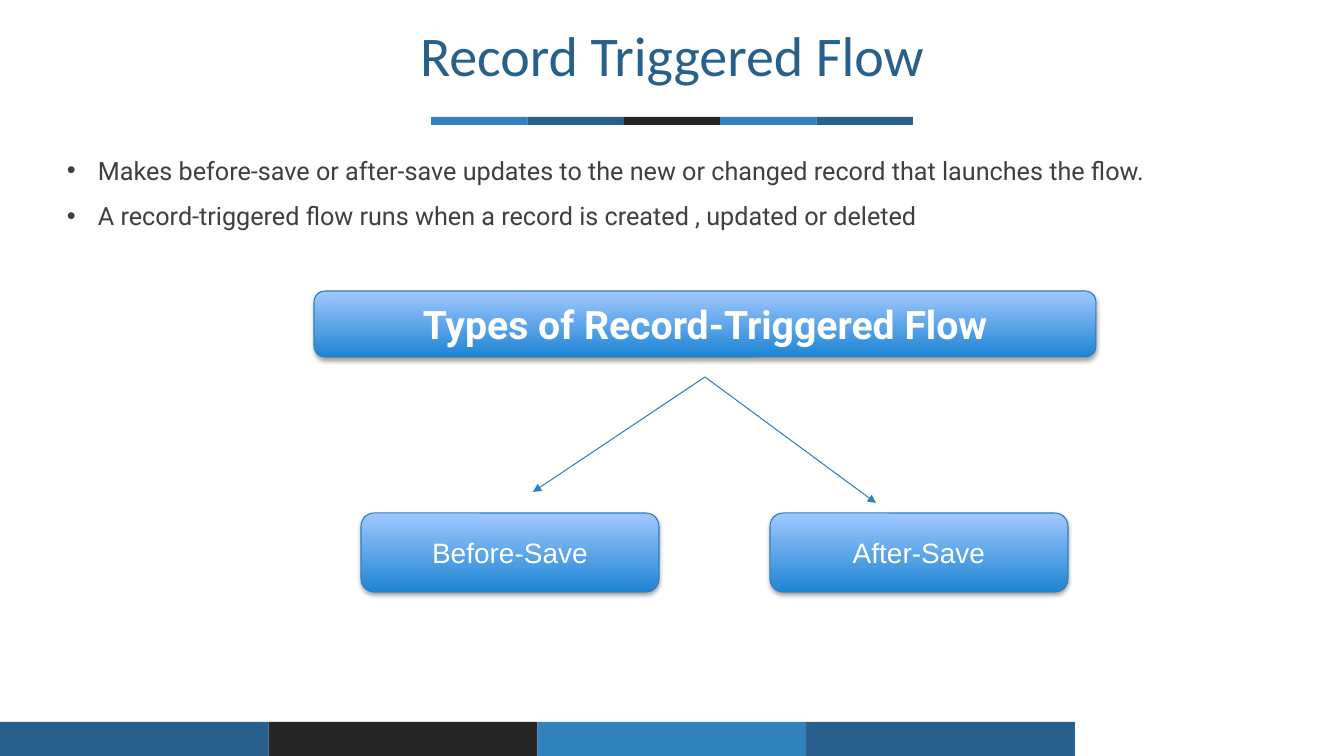
from pptx import Presentation
from pptx.dml.color import RGBColor
from pptx.enum.shapes import MSO_CONNECTOR, MSO_SHAPE
from pptx.enum.text import MSO_ANCHOR, PP_ALIGN
from pptx.oxml import parse_xml
from pptx.oxml.ns import nsdecls, qn
from pptx.util import Pt
from lxml.etree import SubElement

# Colours
BLUE = RGBColor(0x32, 0x82, 0xBE)
NAVY = RGBColor(0x28, 0x60, 0x8C)
BLACK = RGBColor(0x26, 0x26, 0x26)
WHITE = RGBColor(0xFF, 0xFF, 0xFF)
TEXT_GREY = RGBColor(0x3C, 0x40, 0x43)
BULLET_GREY = RGBColor(0x3F, 0x3F, 0x3F)
OUTLINE = RGBColor(0x2D, 0x80, 0xBD)
GRADIENT = (RGBColor(0x1D, 0x85, 0xD3), RGBColor(0xA1, 0xC8, 0xFF))

# Content, lengths in px
TITLE = "Record Triggered Flow"
TITLE_AREA = (41, 23, 1262, 70)
BULLETS = [
    "Makes before-save or after-save updates to the new or changed record that launches the flow.",
    "A record-triggered flow runs when a record is created , updated or deleted",
]
BULLET_AREA = (37, 135, 1270, 586)
BULLET_INDENT, BULLET_HANG = 51, 31
STRIPES = [  # area, colours from left to right
    ((431, 117, 482, 8), (BLUE, NAVY, BLACK, BLUE, NAVY)),
    ((0, 722, 1075, 34), (NAVY, BLACK, BLUE, NAVY)),
]
FLOW_BOXES = [  # text, area, font, size, bold
    ("Before-Save", (361, 513, 298, 79), "Arial", 20, False),
    ("After-Save", (770, 513, 298, 79), "Arial", 20, False),
    ("Types of Record-Triggered Flow", (314, 291, 782, 66), "Roboto", 28, True),
]
FORK = (705, 377)
ARROW_TIPS = [(533, 492), (876, 503)]

EMU_PER_PX = 914400 / 100.8


def px(*lengths):
    return [round(length * EMU_PER_PX) for length in lengths]


def add_span(para, text, font, size, color, bold=False):
    span = para.add_run()
    span.text = text
    span.font.name = font
    span.font.size = Pt(size)
    span.font.bold = bold
    span.font.color.rgb = color


def add_stripe(page, area, colors):
    left, top, width, height = area
    step = width / len(colors)
    for index, color in enumerate(colors):
        band = page.shapes.add_shape(
            MSO_SHAPE.RECTANGLE, *px(left + index * step, top, step, height))
        band.shadow.inherit = False
        band.fill.solid()
        band.fill.fore_color.rgb = color
        band.line.fill.background()


def add_bullet(para):
    indent, hang = px(BULLET_INDENT, BULLET_HANG)
    settings = para._p.get_or_add_pPr()
    settings.set("marL", str(indent))
    settings.set("indent", str(-hang))
    color = SubElement(settings, qn("a:buClr"))
    SubElement(color, qn("a:srgbClr"), val=str(BULLET_GREY))
    SubElement(settings, qn("a:buFont"), typeface="Arial")
    SubElement(settings, qn("a:buChar"), char="•")


def add_flow_box(page, text, area, font, size, bold):
    box = page.shapes.add_shape(MSO_SHAPE.ROUNDED_RECTANGLE, *px(*area))
    box.fill.gradient()
    box.fill.gradient_angle = 90
    for stop, color in zip(box.fill.gradient_stops, GRADIENT):
        stop.color.rgb = color
    box.line.color.rgb = OUTLINE
    box.line.width = Pt(0.75)
    box.shadow.inherit = False
    effects = box._element.spPr.find(qn("a:effectLst"))
    effects.append(parse_xml(
        f'<a:outerShdw {nsdecls("a")} blurRad="{Pt(3.1)}" dist="{Pt(1.8)}" dir="5400000" '
        'rotWithShape="0"><a:srgbClr val="000000"><a:alpha val="35000"/></a:srgbClr>'
        '</a:outerShdw>'))
    frame = box.text_frame
    frame.vertical_anchor = MSO_ANCHOR.MIDDLE
    para = frame.paragraphs[0]
    para.alignment = PP_ALIGN.CENTER
    add_span(para, text, font, size, WHITE, bold)


def add_arrow(page, start, tip):
    arrow = page.shapes.add_connector(MSO_CONNECTOR.STRAIGHT, *px(*start, *tip))
    arrow.line.color.rgb = OUTLINE
    arrow.line.width = Pt(0.75)
    SubElement(arrow.line._get_or_add_ln(), qn("a:tailEnd"), type="triangle")
    SubElement(arrow._element.spPr, qn("a:effectLst"))


def main():
    deck = Presentation()
    deck.slide_width, deck.slide_height = px(1344, 756)
    page = deck.slides.add_slide(deck.slide_layouts[5])

    # Colour stripes
    for area, colors in STRIPES:
        add_stripe(page, area, colors)

    # Title
    title = page.shapes.title
    title.left, title.top, title.width, title.height = px(*TITLE_AREA)
    title.text_frame.vertical_anchor = MSO_ANCHOR.MIDDLE
    para = title.text_frame.paragraphs[0]
    para.alignment = PP_ALIGN.CENTER
    para.line_spacing = 0.9
    add_span(para, TITLE, "Calibri", 40, NAVY)

    # Bullets
    frame = page.shapes.add_textbox(*px(*BULLET_AREA)).text_frame
    frame.word_wrap = True
    for index, text in enumerate(BULLETS):
        para = frame.add_paragraph() if index else frame.paragraphs[0]
        add_bullet(para)
        para.line_spacing = 1.5
        add_span(para, text, "Roboto", 18, TEXT_GREY)

    # Flow diagram
    for flow_box in FLOW_BOXES:
        add_flow_box(page, *flow_box)
    for tip in ARROW_TIPS:
        add_arrow(page, FORK, tip)

    deck.save("out.pptx")


if __name__ == "__main__":
    main()
